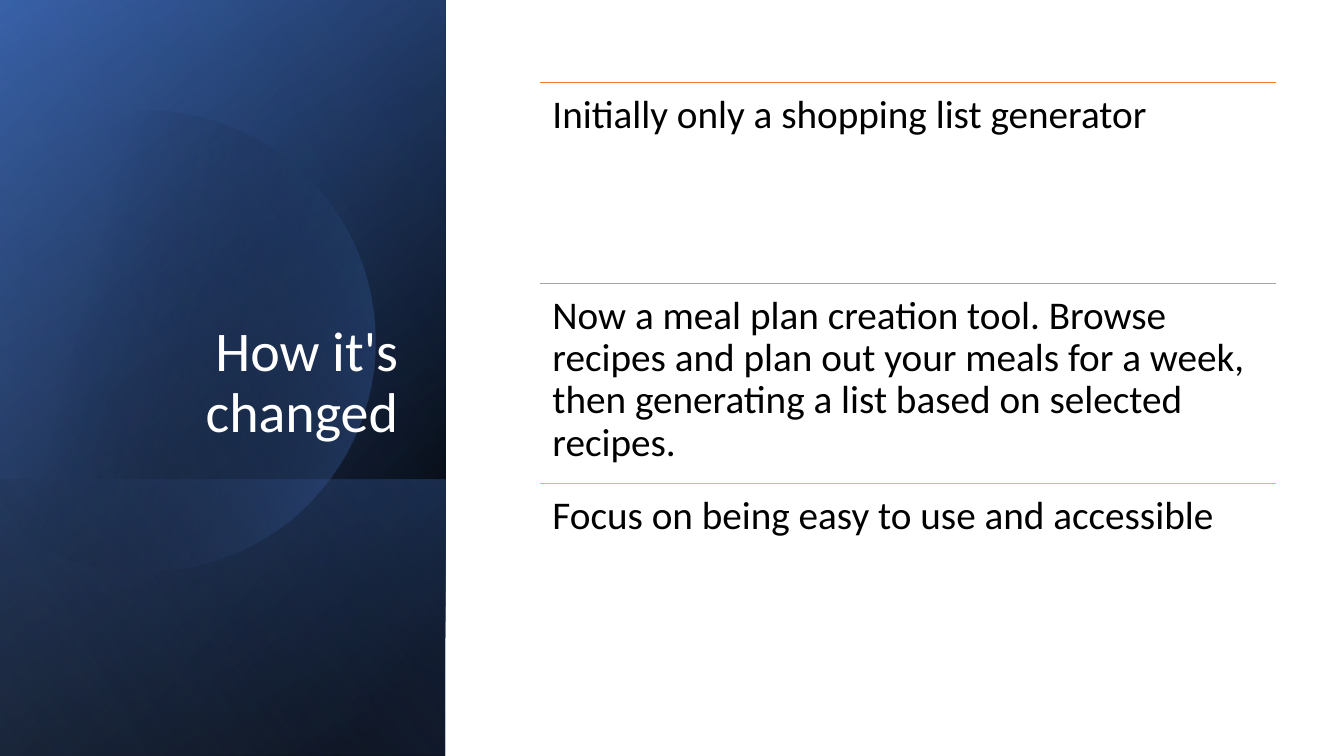
from lxml.etree import SubElement
from pptx import Presentation
from pptx.dml.color import RGBColor
from pptx.enum.shapes import MSO_CONNECTOR, MSO_SHAPE
from pptx.enum.text import MSO_ANCHOR, PP_ALIGN
from pptx.oxml.ns import qn
from pptx.util import Pt

# Content
TITLE = "How it's changed"
ROWS = [
    ("Initially only a shopping list generator", "orange"),
    ("Now a meal plan creation tool. Browse recipes and plan out your meals "
     "for a week, then generating a list based on selected recipes.", "gray"),
    ("Focus on being easy to use and accessible", "gold"),
]
COLORS = {"white": "FFFFFF", "black": "000000", "navy": "2F5597", "blue": "4472C4",
          "pale": "8FAADC", "orange": "ED7D31", "gray": "A5A5A5", "gold": "FFC000"}
FONT = "Calibri"

# Side panel: visible box (left, top, width, height), stops (position %, colour, opacity %), angle
PANEL = (0, 0, 318.24, 540)
PANEL_FOOT = (0, 342.7, 318.24, 197.3)
BACK_LAYERS = [
    (PANEL, [(8, "black", 100), (100, "navy", 100)], 50),
    (PANEL, [(0, "black", 0), (99, "blue", 46)], 30),
    (PANEL_FOOT, [(2, "blue", 29), (100, "black", 30)], 130),
]
FRONT_LAYER = (PANEL, [(0, "black", 0), (99, "pale", 11)], 120)

# Circle cut off by the slide edge, in inches: a start, then curves (3 points) or lines (1 point)
CIRCLE_START = (1.49, 1.1)
CIRCLE_SEGMENTS = [
    [(2.46, 1.12), (3.35, 1.77), (3.63, 2.75)],
    [(3.98, 3.97), (3.28, 5.23), (2.07, 5.58)],
    [(1.31, 5.8), (0.53, 5.61), (-0.03, 5.14)],
    [(-0.15, 5.03)],
    [(-0.15, 1.75)],
    [(0, 1.61)],
    [(0.23, 1.42), (0.5, 1.28), (0.8, 1.19)],
    [(1.03, 1.13), (1.26, 1.1), (1.49, 1.1)],
]
CIRCLE_STOPS = [(29, "black", 0), (100, "blue", 43)]
CIRCLE_ANGLE = 14
CURVE_STEPS = 24

# List
LIST_LEFT, LIST_TOP, LIST_WIDTH, ROW_HEIGHT = 386, 59, 525.4, 143.3
ROW_INSET = 8.64


def color(name):
    return RGBColor.from_string(COLORS[name])


def fill_gradient(shape, stops, angle):
    shape.shadow.inherit = False
    shape.line.fill.background()
    shape.fill.gradient()
    shape.fill.gradient_angle = 360 - angle
    for stop, (position, name, _) in zip(shape.fill.gradient_stops, stops):
        stop.position = position / 100
        stop.color.rgb = color(name)
    fills = shape._element.spPr.iter(qn("a:srgbClr"))
    for element, (_, _, opacity) in zip(fills, stops):
        SubElement(element, qn("a:alpha")).set("val", str(opacity * 1000))


def add_layer(slide, box, stops, angle):
    """A mirrored rectangle on its side, turned about the centre of its visible box."""
    left, top, width, height = box
    shift = (width - height) / 2
    shape = slide.shapes.add_shape(MSO_SHAPE.RECTANGLE, Pt(left + shift), Pt(top - shift),
                                   Pt(height), Pt(width))
    shape.rotation = 90
    shape._element.spPr.xfrm.set("flipH", "1")
    fill_gradient(shape, stops, angle)


def circle_points():
    points = [CIRCLE_START]
    for segment in CIRCLE_SEGMENTS:
        if len(segment) == 1:
            points += segment
            continue
        controls = [points[-1], *segment]
        for step in range(1, CURVE_STEPS + 1):
            t = step / CURVE_STEPS
            weights = [(1 - t) ** 3, 3 * t * (1 - t) ** 2, 3 * t * t * (1 - t), t ** 3]
            points.append(tuple(sum(weight * point[axis] for weight, point in zip(weights, controls))
                                for axis in (0, 1)))
    return [(Pt(x * 72), Pt(y * 72)) for x, y in points]


def format_text(text_frame, size, name, alignment):
    text_frame.word_wrap = True
    paragraph = text_frame.paragraphs[0]
    paragraph.alignment = alignment
    paragraph.line_spacing = 0.9
    font = paragraph.runs[0].font
    font.name, font.size, font.color.rgb = FONT, Pt(size), color(name)


def add_row(slide, index, text, line_color):
    top = LIST_TOP + index * ROW_HEIGHT
    line = slide.shapes.add_connector(MSO_CONNECTOR.STRAIGHT, Pt(LIST_LEFT), Pt(top),
                                      Pt(LIST_LEFT + LIST_WIDTH), Pt(top))
    line.line.color.rgb = color(line_color)
    line.line.width = Pt(0.5)
    SubElement(line._element.spPr, qn("a:effectLst"))

    box = slide.shapes.add_textbox(Pt(LIST_LEFT), Pt(top), Pt(LIST_WIDTH), Pt(ROW_HEIGHT))
    frame = box.text_frame
    frame.text = text
    frame.margin_left = frame.margin_right = Pt(ROW_INSET)
    frame.margin_top = frame.margin_bottom = Pt(ROW_INSET)
    format_text(frame, 28, "black", PP_ALIGN.LEFT)


def main():
    presentation = Presentation()
    presentation.slide_width, presentation.slide_height = Pt(960), Pt(540)
    slide = presentation.slides.add_slide(presentation.slide_layouts[5])

    # Side panel
    for layer in BACK_LAYERS:
        add_layer(slide, *layer)
    start, *others = circle_points()
    builder = slide.shapes.build_freeform(*start)
    builder.add_line_segments(others, close=True)
    fill_gradient(builder.convert_to_shape(), CIRCLE_STOPS, CIRCLE_ANGLE)
    add_layer(slide, *FRONT_LAYER)

    # Title, brought in front of the panel
    title = slide.shapes.title
    slide.shapes._spTree.append(title._element)
    title.left, title.top, title.width, title.height = Pt(46), Pt(132.5), Pt(245.5), Pt(188.6)
    title.text_frame.text = TITLE
    title.text_frame.vertical_anchor = MSO_ANCHOR.BOTTOM
    format_text(title.text_frame, 40, "white", PP_ALIGN.RIGHT)

    # List
    for index, (text, line_color) in enumerate(ROWS):
        add_row(slide, index, text, line_color)

    presentation.save("out.pptx")


if __name__ == "__main__":
    main()
